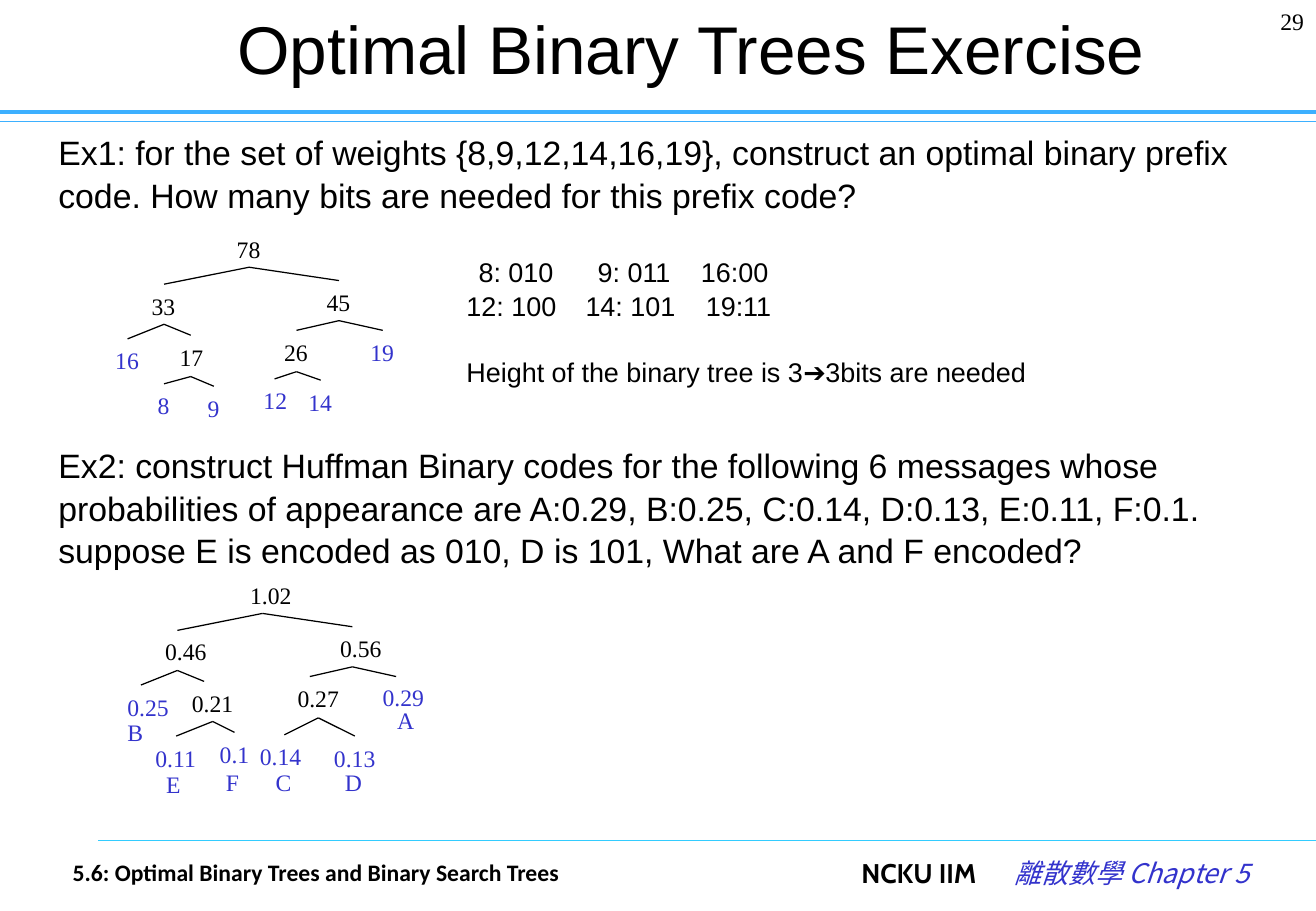
"""Build the slide on optimal binary trees with two worked exercises."""
from dataclasses import dataclass

from lxml import etree
from pptx import Presentation
from pptx import util as u
from pptx.dml.color import RGBColor
from pptx.enum import shapes, text
from pptx.oxml import ns


@dataclass(frozen=True)
class Theme:
    """Colours, fonts and type sizes of the slide."""
    ink: str = "000000"
    leaf: str = "3333CC"
    rule: str = "3DB0FF"
    footer_rule: str = "33CCFF"
    sans: str = "Arial"
    serif: str = "Times New Roman"
    footer: str = "Calibri"
    school: str = "Cabin"
    chapter: str = "Noto Sans CJK SC"
    title_size: int = 40
    body_size: int = 20
    answer_size: int = 16
    label_size: int = 14
    thin: float = 0.75
    thick: float = 2.5
    spacing: float = 1.05


THEME = Theme()
WIDTH, HEIGHT = 10.83, 7.5

TITLE = "Optimal Binary Trees Exercise"
EXERCISES = (
    "Ex1: for the set of weights {8,9,12,14,16,19}, construct an optimal binary prefix code. "
    "How many bits are needed for this prefix code?",
    "Ex2: construct Huffman Binary codes for the following 6 messages whose probabilities of "
    "appearance are A:0.29, B:0.25, C:0.14, D:0.13, E:0.11, F:0.1. suppose E is encoded as 010, "
    "D is 101, What are A and F encoded?",
)
ANSWERS = (
    ("\t8: 010\t9: 011\t16:00", (0.1, 1.08, 1.93)),
    ("12: 100\t14: 101\t19:11", (0.98, 1.97)),
    ("Height of the binary tree is 3➔3bits are needed", ()),
)

UPPER_BRANCHES = (
    ((2.05, 2.2), (1.35, 2.34), (2.79, 2.31)),
    ((1.35, 2.67), (1.05, 2.79), (1.57, 2.76)),
    ((2.79, 2.64), (2.44, 2.72), (3.15, 2.72)),
)
WEIGHT_BRANCHES = (
    ((1.57, 3.1), (1.35, 3.16), (1.76, 3.18)),
    ((2.44, 3.06), (2.26, 3.12), (2.64, 3.13)),
)
MESSAGE_BRANCHES = (
    ((1.75, 5.94), (1.45, 6.06), (1.93, 6.03)),
    ((2.62, 5.91), (2.34, 6.05), (2.92, 6.06)),
)
MESSAGE_SHIFT = (0.11, 2.85)

WEIGHT_NODES = (("78", 1.85, 1.87), ("33", 1.15, 2.34), ("45", 2.59, 2.31),
                ("17", 1.38, 2.76), ("26", 2.24, 2.72))
WEIGHT_LEAVES = (("16", 0.85, 2.79), ("19", 2.95, 2.72), ("8", 1.2, 3.16),
                 ("9", 1.61, 3.18), ("12", 2.07, 3.12), ("14", 2.44, 3.13))
MESSAGE_NODES = (("1.02", 1.96, 4.72), ("0.46", 1.26, 5.18), ("0.56", 2.7, 5.16),
                 ("0.21", 1.48, 5.61), ("0.27", 2.35, 5.57))
MESSAGE_LEAVES = (("0.25", 0.95, 5.64), ("0.29", 3.05, 5.56), ("0.11", 1.18, 6.06),
                  ("0.1", 1.71, 6.03), ("0.14", 2.04, 6.05), ("0.13", 2.65, 6.06),
                  ("A", 3.17, 5.75), ("B", 0.95, 5.85), ("C", 2.17, 6.26),
                  ("D", 2.74, 6.26), ("E", 1.27, 6.28), ("F", 1.76, 6.26))


def lengths(*inches):
    """Turn inches into slide lengths."""
    return [u.Cm(value * 2.54) for value in inches]


def set_font(font, name, size, color=THEME.ink, bold=False, italic=False):
    """Set all font properties used on the slide."""
    font.name, font.size, font.bold, font.italic = name, u.Pt(size), bold, italic
    font.color.rgb = RGBColor.from_string(color)


def add_tabs(paragraph, stops):
    """Add left tab stops to a paragraph."""
    tab_list = etree.SubElement(paragraph._p.get_or_add_pPr(), ns.qn("a:tabLst"))
    for stop in lengths(*stops):
        etree.SubElement(tab_list, ns.qn("a:tab"), pos=str(int(stop)), algn="l")


def add_text(slide, words, box, name, size, color=THEME.ink, bold=False,
             align=text.PP_ALIGN.LEFT, wrap=False, spacing=THEME.spacing):
    """Add a text box with one paragraph."""
    frame = slide.shapes.add_textbox(*lengths(*box)).text_frame
    frame.word_wrap = wrap
    paragraph = frame.paragraphs[0]
    paragraph.text = words
    paragraph.alignment = align
    paragraph.line_spacing = spacing
    set_font(paragraph.font, name, size, color, bold)


def add_line(slide, start, end, color=THEME.ink, weight=THEME.thin):
    """Add a straight line without a shadow."""
    line = slide.shapes.add_connector(shapes.MSO_CONNECTOR.STRAIGHT, *lengths(*start, *end))
    line.line.color.rgb = RGBColor.from_string(color)
    line.line.width = u.Pt(weight)
    etree.SubElement(line._element.spPr, ns.qn("a:effectLst"))


def add_labels(slide, labels, color):
    """Add tree labels in boxes as wide as their text."""
    for words, left, top in labels:
        width = 0.2 + sum(0.05 if c == "." else 0.1 if c.isdigit() else 0.14 for c in words)
        add_text(slide, words, (left, top, width, 0.33), THEME.serif, THEME.label_size, color)


def add_tree(slide, lower_branches, nodes, leaves, shift=(0, 0)):
    """Add one binary tree, with its upper branches shifted into place."""
    upper = [[(x + shift[0], y + shift[1]) for x, y in branch] for branch in UPPER_BRANCHES]
    for apex, *ends in (*upper, *lower_branches):
        for end in ends:
            add_line(slide, apex, end)
    add_labels(slide, nodes, THEME.ink)
    add_labels(slide, leaves, THEME.leaf)


def place(placeholder, box, anchor):
    """Move a placeholder and return its text frame."""
    placeholder.left, placeholder.top, placeholder.width, placeholder.height = lengths(*box)
    frame = placeholder.text_frame
    frame.auto_size = text.MSO_AUTO_SIZE.NONE
    frame.vertical_anchor = anchor
    return frame


def fill_title(slide):
    """Write the title."""
    frame = place(slide.shapes.title, (1.44, 0, 8.49, 0.75), text.MSO_ANCHOR.MIDDLE)
    frame.text = TITLE
    paragraph = frame.paragraphs[0]
    paragraph.alignment = text.PP_ALIGN.CENTER
    paragraph.line_spacing = THEME.spacing
    set_font(paragraph.font, THEME.sans, THEME.title_size)


def fill_exercises(slide):
    """Write both exercises, leaving room for the first tree between them."""
    frame = place(slide.placeholders[1], (0.38, 1.02, 10.45, 5.92), text.MSO_ANCHOR.TOP)
    frame.text = "\n".join(EXERCISES)
    for paragraph, gap in zip(frame.paragraphs, (0, 135)):
        properties = paragraph._p.get_or_add_pPr()
        properties.set("marL", "0")
        properties.set("indent", "0")
        etree.SubElement(properties, ns.qn("a:buNone"))
        paragraph.line_spacing = THEME.spacing
        paragraph.space_before = u.Pt(gap)
        set_font(paragraph.font, THEME.sans, THEME.body_size)


def add_answers(slide):
    """Add the codes and the answer to the first exercise."""
    frame = slide.shapes.add_textbox(*lengths(3.74, 2.04, 4.88, 1.17)).text_frame
    frame.word_wrap = True
    frame.text = "\n".join(words for words, _ in ANSWERS)
    for paragraph, (_, stops), gap in zip(frame.paragraphs, ANSWERS, (0, 0, 19)):
        if stops:
            add_tabs(paragraph, stops)
        paragraph.line_spacing = THEME.spacing
        paragraph.space_before = u.Pt(gap)
        set_font(paragraph.font, THEME.sans, THEME.answer_size)


def add_course(slide):
    """Add the school and chapter at the foot of the slide."""
    frame = slide.shapes.add_textbox(*lengths(6.99, 7, 3.7, 0.5)).text_frame
    frame.word_wrap = True
    paragraph = frame.paragraphs[0]
    add_tabs(paragraph, (1.26,))
    school, chapter = paragraph.add_run(), paragraph.add_run()
    school.text, chapter.text = "NCKU IIM\t", "離散數學 Chapter 5"
    set_font(school.font, THEME.school, THEME.answer_size, bold=True)
    set_font(chapter.font, THEME.chapter, THEME.answer_size, THEME.leaf, italic=True)
    etree.SubElement(chapter._r.get_or_add_rPr(), ns.qn("a:ea"), typeface=THEME.chapter)


def main():
    """Build and save the presentation."""
    presentation = Presentation()
    presentation.slide_width, presentation.slide_height = lengths(WIDTH, HEIGHT)
    slide = presentation.slides.add_slide(presentation.slide_layouts[1])
    add_line(slide, (0, 1), (WIDTH, 1), THEME.rule)
    add_line(slide, (0, 0.92), (WIDTH, 0.92), THEME.rule, THEME.thick)
    add_line(slide, (0.81, 6.92), (WIDTH, 6.92), THEME.footer_rule)
    fill_title(slide)
    fill_exercises(slide)
    add_text(slide, "29", (9.93, 0, 0.9, 0.5), THEME.serif, THEME.label_size,
             align=text.PP_ALIGN.RIGHT, wrap=True)
    add_tree(slide, WEIGHT_BRANCHES, WEIGHT_NODES, WEIGHT_LEAVES)
    add_answers(slide)
    add_tree(slide, MESSAGE_BRANCHES, MESSAGE_NODES, MESSAGE_LEAVES, MESSAGE_SHIFT)
    add_text(slide, "5.6: Optimal Binary Trees and Binary Search Trees", (0.5, 7.01, 4.5, 0.33),
             THEME.footer, THEME.label_size, bold=True, wrap=True, spacing=1)
    add_course(slide)
    presentation.save("out.pptx")


if __name__ == "__main__":
    main()
